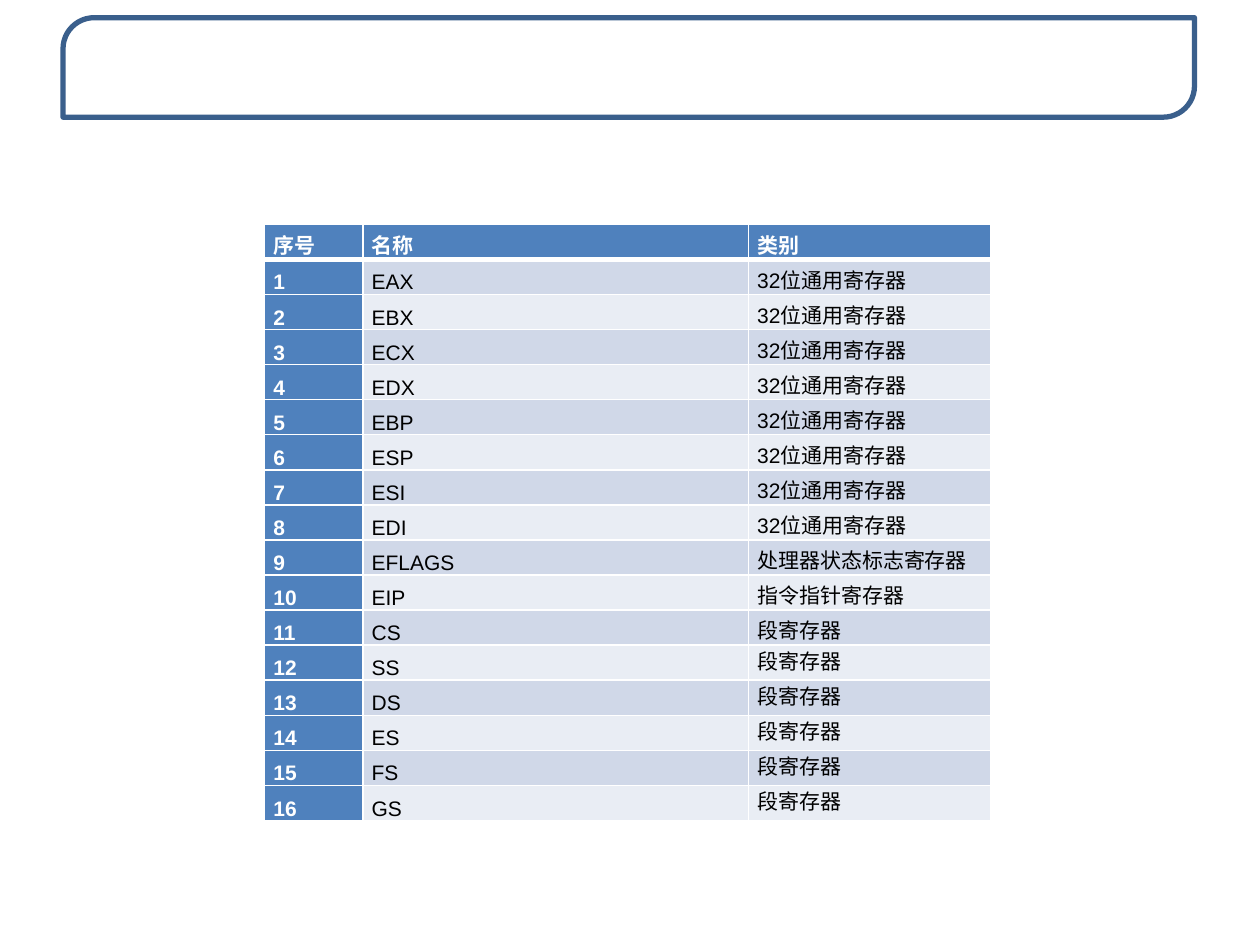
from lxml import etree
from pptx import Presentation
from pptx import util as u
from pptx.dml.color import RGBColor
from pptx.enum import shapes, text
from pptx.oxml import ns

COLORS = {
    "white": "FFFFFF",
    "black": "000000",
    "frame": "3A5F8C",
    "header": "4F81BD",
    "odd": "D0D8E8",
    "even": "E9EDF4",
}
FONT = "Arial"
LINE = u.Pt(20)

GENERAL = "32位通用寄存器"
SEGMENT = "段寄存器"
HEADINGS = ("序号", "名称", "类别")
REGISTERS = (
    [(name, GENERAL) for name in "EAX EBX ECX EDX EBP ESP ESI EDI".split()]
    + [("EFLAGS", "处理器状态标志寄存器"), ("EIP", "指令指针寄存器")]
    + [(name, SEGMENT) for name in "CS SS DS ES FS GS".split()]
)
COLUMN_WIDTHS = (0.78, 3.06, 1.92)
FIRST_SINGLE_SPACED = 12  # from here the last column keeps single spacing


def rgb(name):
    return RGBColor.from_string(COLORS[name])


def add_text(tf, content, size=12, color="black", bold=False, spacing=None):
    p = tf.paragraphs[0]
    p.alignment = text.PP_ALIGN.JUSTIFY
    if spacing is not None:
        p.line_spacing = spacing
    r = p.add_run()
    r.text = content
    r.font.name = FONT
    r.font.size = u.Pt(size)
    r.font.bold = bold
    r.font.color.rgb = rgb(color)


def set_borders(cell, **widths):
    """Draw white borders; widths are points for the sides L, R, T and B."""
    tc_pr = cell._tc.get_or_add_tcPr()
    for side in "LRTB":
        ln = etree.SubElement(tc_pr, ns.qn("a:ln" + side),
                              w=str(u.Pt(widths.get(side, 1))))
        fill = etree.SubElement(ln, ns.qn("a:solidFill"))
        etree.SubElement(fill, ns.qn("a:srgbClr"), val=COLORS["white"])


def add_title_frame(s, left, top, width, height):
    sp = s.shapes.add_shape(shapes.MSO_SHAPE.ROUND_2_DIAG_RECTANGLE,
                            left, top, width, height)
    sp.shadow.inherit = False
    sp.adjustments[0] = 0.313
    sp.adjustments[1] = 0
    sp.fill.solid()
    sp.fill.fore_color.rgb = rgb("white")
    color = sp.fill._xPr.find(".//" + ns.qn("a:srgbClr"))
    etree.SubElement(color, ns.qn("a:alpha"), val="85000")
    sp.line.color.rgb = rgb("frame")
    sp.line.width = u.Pt(3)


def add_register_table(s, left, top, width, height):
    rows = [HEADINGS] + [(str(i), *reg) for i, reg in enumerate(REGISTERS, 1)]
    table = s.shapes.add_table(len(rows), len(HEADINGS),
                               left, top, width, height).table
    for column, column_width in zip(table.columns, COLUMN_WIDTHS):
        column.width = u.Inches(column_width)

    for i, row in enumerate(rows):
        for j, content in enumerate(row):
            cell = table.cell(i, j)
            cell.margin_left = cell.margin_right = u.Inches(0.07)
            cell.margin_top = cell.margin_bottom = 0
            # The rule under the header is heavier than the others
            set_borders(cell, T=3 if i == 1 else 1, B=3 if i == 0 else 1)
            is_heading = i == 0 or j == 0
            cell.fill.solid()
            cell.fill.fore_color.rgb = rgb(
                "header" if is_heading else "odd" if i % 2 else "even")
            single = j == 2 and i >= FIRST_SINGLE_SPACED
            add_text(cell.text_frame, content, bold=is_heading,
                     color="white" if is_heading else "black",
                     spacing=None if single else LINE)


def main():
    prs = Presentation()
    prs.slide_width, prs.slide_height = u.Inches(10), u.Inches(7.5)
    s = prs.slides.add_slide(prs.slide_layouts[6])

    # Empty title frame
    add_title_frame(s, u.Inches(0.5), u.Inches(0.14),
                    u.Inches(8.98), u.Inches(0.79))
    # Table of registers
    add_register_table(s, u.Inches(2.1), u.Inches(1.78),
                       u.Inches(5.76), u.Inches(4.29))
    prs.save("out.pptx")


if __name__ == "__main__":
    main()
